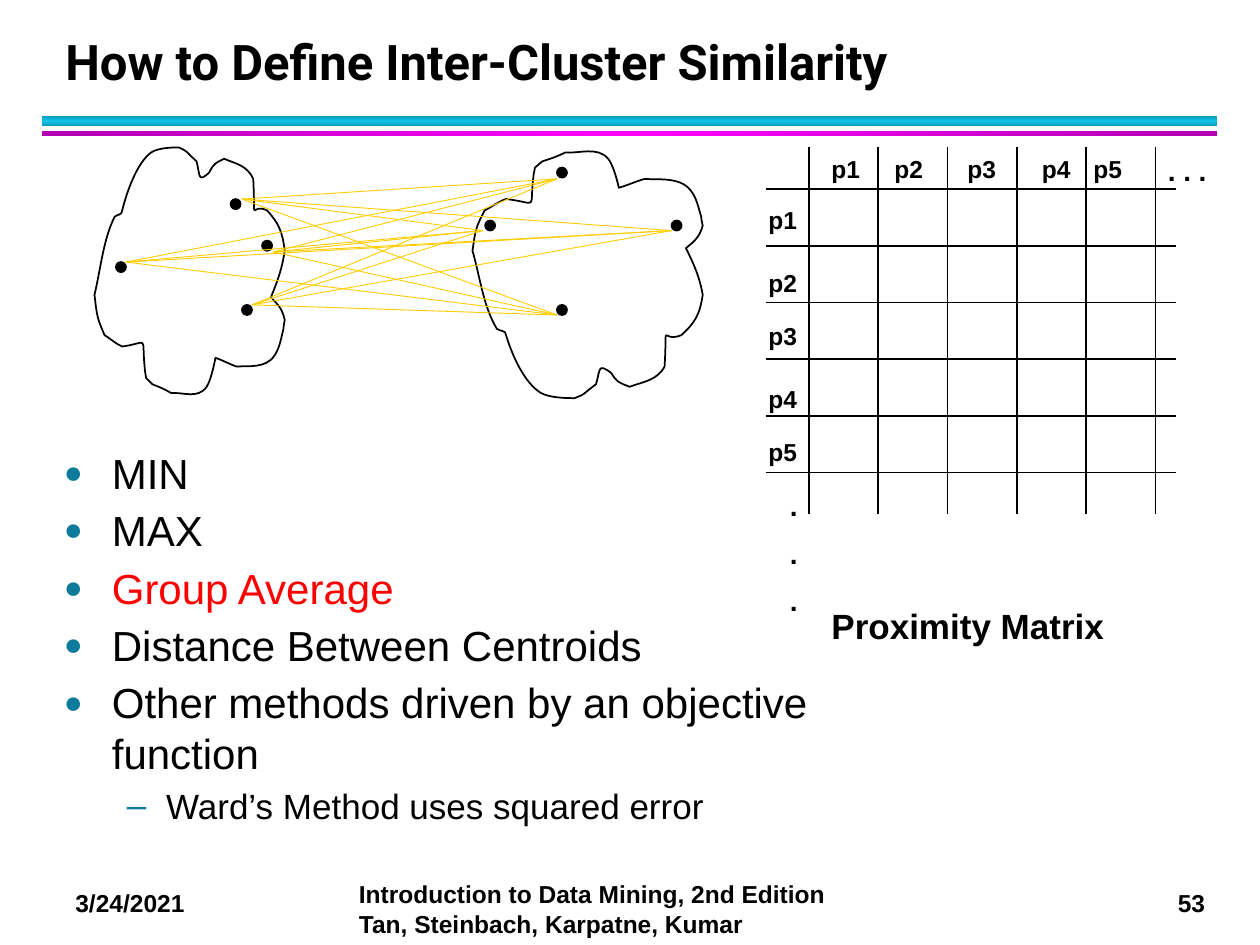
from copy import deepcopy
from dataclasses import dataclass
from itertools import product

from lxml.etree import SubElement
from pptx import Presentation
from pptx.dml.color import RGBColor
from pptx.enum.shapes import MSO_CONNECTOR, MSO_SHAPE
from pptx.enum.text import MSO_ANCHOR
from pptx.oxml.ns import qn
from pptx.util import Pt

PX = 9144  # EMU in one layout px, 100 px to the inch


@dataclass(frozen=True)
class Theme:
    ink: str = "000000"
    accent: str = "FF0000"
    bullet: str = "0C7B9C"
    link: str = "FFCC00"
    cyan: tuple = ("0E9BBA", "12C2E9")
    magenta: tuple = ("B200B2", "FF00FF")
    heading_font: str = "Roboto"
    body_font: str = "Arial"
    title: int = 28
    body: int = 24
    caption: int = 20
    dots: int = 16
    label: int = 14


THEME = Theme()

# Cluster outline: start point, then two controls and an end point per curve
OUTLINE_START = (91, 172)
OUTLINE = [
    (82, 190, 80, 213, 75, 234), (77, 251, 77, 252, 83, 266),
    (88, 269, 92, 273, 97, 275), (119, 272, 112, 265, 115, 293),
    (115, 296, 116, 298, 116, 300), (123, 307, 119, 304, 126, 307),
    (129, 308, 136, 312, 136, 312), (145, 311, 157, 317, 164, 307),
    (168, 301, 171, 284, 171, 284), (177, 286, 182, 289, 188, 291),
    (196, 290, 211, 293, 218, 282), (222, 276, 223, 269, 225, 261),
    (225, 259, 226, 254, 226, 254), (224, 245, 221, 242, 215, 236),
    (220, 224, 224, 213, 226, 199), (224, 183, 221, 177, 212, 167),
    (198, 160, 203, 182, 201, 142), (196, 131, 187, 130, 178, 126),
    (172, 129, 170, 129, 166, 137), (157, 145, 159, 140, 156, 128),
    (145, 118, 150, 121, 142, 117), (138, 117, 126, 117, 120, 121),
    (109, 129, 101, 151, 97, 167), (97, 171, 93, 170, 91, 172),
]

LEFT_POINTS = [(192, 242), (183, 158), (92, 208), (208, 191)]
RIGHT_POINTS = [(533, 175), (385, 175), (442, 242), (442, 133)]
LINK_STARTS = [(200, 242), (217, 200), (100, 208), (192, 158)]
LINK_ENDS = [(442, 250), (383, 183), (442, 142), (533, 183)]

COLUMN_LABELS = [650, 700, 758, 817, 858]
ROW_LABELS = [158, 208, 250, 300, 342]

# Text, level, colour
METHODS = [
    ("MIN", 0, THEME.ink),
    ("MAX", 0, THEME.ink),
    ("Group Average", 0, THEME.accent),
    ("Distance Between Centroids", 0, THEME.ink),
    ("Other methods driven by an objective function", 0, THEME.ink),
    ("Ward’s Method uses squared error", 1, THEME.ink),
]


def emu(*lengths):
    return [round(length * PX) for length in lengths]


def rgb(value):
    return RGBColor.from_string(value)


def format_paragraph(paragraph, text, size, color=THEME.ink, bold=True,
                     font=THEME.body_font):
    run = paragraph.add_run()
    run.text = text
    run.font.size, run.font.bold, run.font.name = Pt(size), bold, font
    run.font.color.rgb = rgb(color)


def add_text(slide, box, *lines, size=THEME.label, wrap=True, gap=0,
             line_spacing=None, anchor=MSO_ANCHOR.TOP, **font_format):
    frame = slide.shapes.add_textbox(*emu(*box)).text_frame
    frame.word_wrap, frame.vertical_anchor = wrap, anchor
    for index, line in enumerate(lines):
        paragraph = frame.add_paragraph() if index else frame.paragraphs[0]
        paragraph.space_before = Pt(gap if index else 0)
        paragraph.line_spacing = line_spacing
        format_paragraph(paragraph, line, size, **font_format)


def add_line(slide, start, end, color=THEME.ink, width=1):
    line = slide.shapes.add_connector(MSO_CONNECTOR.STRAIGHT,
                                      *emu(*start, *end))
    line.line.color.rgb, line.line.width = rgb(color), Pt(width)
    SubElement(line._element.spPr, qn("a:effectLst"))


def add_rule(slide, box, colors, angle):
    """Bar that runs from the edge colour to the middle colour and back."""
    edge, middle = colors
    bar = slide.shapes.add_shape(MSO_SHAPE.RECTANGLE, *emu(*box))
    bar.shadow.inherit = False
    bar.line.fill.background()
    bar.fill.gradient()
    bar.fill.gradient_angle = angle
    stops = bar._element.spPr.find(".//" + qn("a:gsLst"))
    stops.append(deepcopy(stops[-1]))
    for stop, color, position in zip(bar.fill.gradient_stops,
                                     (edge, middle, edge), (0, 0.5, 1)):
        stop.color.rgb, stop.position = rgb(color), position


def add_point(slide, left, top):
    point = slide.shapes.add_shape(MSO_SHAPE.OVAL, *emu(left, top, 8, 8))
    point.shadow.inherit = False
    point.fill.solid()
    point.fill.fore_color.rgb = point.line.color.rgb = rgb(THEME.ink)
    point.line.width = Pt(1)


def add_cluster(slide, place=lambda x, y: (x, y)):
    curves = [[emu(*place(*curve[i:i + 2])) for i in (0, 2, 4)]
              for curve in OUTLINE]
    builder = slide.shapes.build_freeform(*emu(*place(*OUTLINE_START)),
                                          scale=1.0)
    builder.add_line_segments([end for *_, end in curves], close=True)
    cluster = builder.convert_to_shape()
    cluster.shadow.inherit = False
    cluster.fill.background()
    cluster.line.color.rgb, cluster.line.width = rgb(THEME.ink), Pt(1)

    # Bend each straight segment into its curve
    segments = cluster._element.spPr.findall(".//" + qn("a:lnTo"))
    for segment, (*controls, _) in zip(segments, curves):
        segment.tag = qn("a:cubicBezTo")
        for index, (x, y) in enumerate(controls):
            control = deepcopy(segment[-1])
            control.set("x", str(x - cluster.left))
            control.set("y", str(y - cluster.top))
            segment.insert(index, control)


def add_bullet(paragraph, level):
    indent, hang, mark = [(38, 38, "●"), (81, 31, "–")][level]
    props = paragraph._p.get_or_add_pPr()
    props.set("marL", str(indent * PX))
    props.set("indent", str(-hang * PX))
    color = SubElement(props, qn("a:buClr"))
    SubElement(color, qn("a:srgbClr"), val=THEME.bullet)
    SubElement(props, qn("a:buSzPct"), val="100000" if level else "75000")
    SubElement(props, qn("a:buFont"), typeface=THEME.body_font)
    SubElement(props, qn("a:buChar"), char=mark)


def add_methods(slide):
    frame = slide.shapes.add_textbox(*emu(41, 350, 634, 342)).text_frame
    frame.word_wrap = True
    for index, (text, level, color) in enumerate(METHODS):
        paragraph = frame.add_paragraph() if index else frame.paragraphs[0]
        paragraph.level = level
        paragraph.space_before = paragraph.space_after = Pt(2)
        add_bullet(paragraph, level)
        format_paragraph(paragraph, text, color=color, bold=False,
                         size=THEME.caption if level else THEME.body)


def add_matrix(slide):
    for index in range(6):
        x, y = 642 + 55 * index, 150 + 45 * index
        add_line(slide, (x, 117), (x, 408))
        add_line(slide, (608, y), (933, y))
    for number, (x, y) in enumerate(zip(COLUMN_LABELS, ROW_LABELS), 1):
        add_text(slide, (x, 117, 58, 33), f"p{number}")
        add_text(slide, (600, y, 58, 33), f"p{number}")
    add_text(slide, (917, 117, 58, 37), ". . .", size=THEME.dots)
    add_text(slide, (617, 383, 58, 117), ".", ".", ".", size=THEME.dots, gap=8)
    add_text(slide, (650, 475, 275, 43), "Proximity Matrix",
             size=THEME.caption)


def main():
    deck = Presentation()
    deck.slide_width, deck.slide_height = emu(1000, 750)
    slide = deck.slides.add_slide(deck.slide_layouts[6])

    # Heading and rules
    add_rule(slide, (33, 92, 933, 8), THEME.cyan, 90)
    add_rule(slide, (33, 104, 933, 4), THEME.magenta, 0)
    add_text(slide, (42, 17, 906, 60), "How to Define Inter-Cluster Similarity",
             size=THEME.title, font=THEME.heading_font, line_spacing=Pt(36),
             anchor=MSO_ANCHOR.BOTTOM)

    # Proximity matrix
    add_matrix(slide)

    # Clusters: the right one is the left one turned over and widened
    add_cluster(slide)
    add_cluster(slide, lambda x, y: (375 + (x - 75) * 1.21, 433 - y))
    for left, top in LEFT_POINTS + RIGHT_POINTS:
        add_point(slide, left, top)
    for start, end in product(LINK_STARTS, LINK_ENDS):
        add_line(slide, start, end, color=THEME.link, width=0.5)

    # Methods
    add_methods(slide)

    # Footer
    add_text(slide, (50, 700, 133, 34), "3/24/2021")
    add_text(slide, (275, 693, 408, 57), "Introduction to Data Mining, "
             "2nd Edition Tan, Steinbach, Karpatne, Kumar")
    add_text(slide, (925, 700, 44, 34), "53", wrap=False)

    deck.save("out.pptx")


if __name__ == "__main__":
    main()
